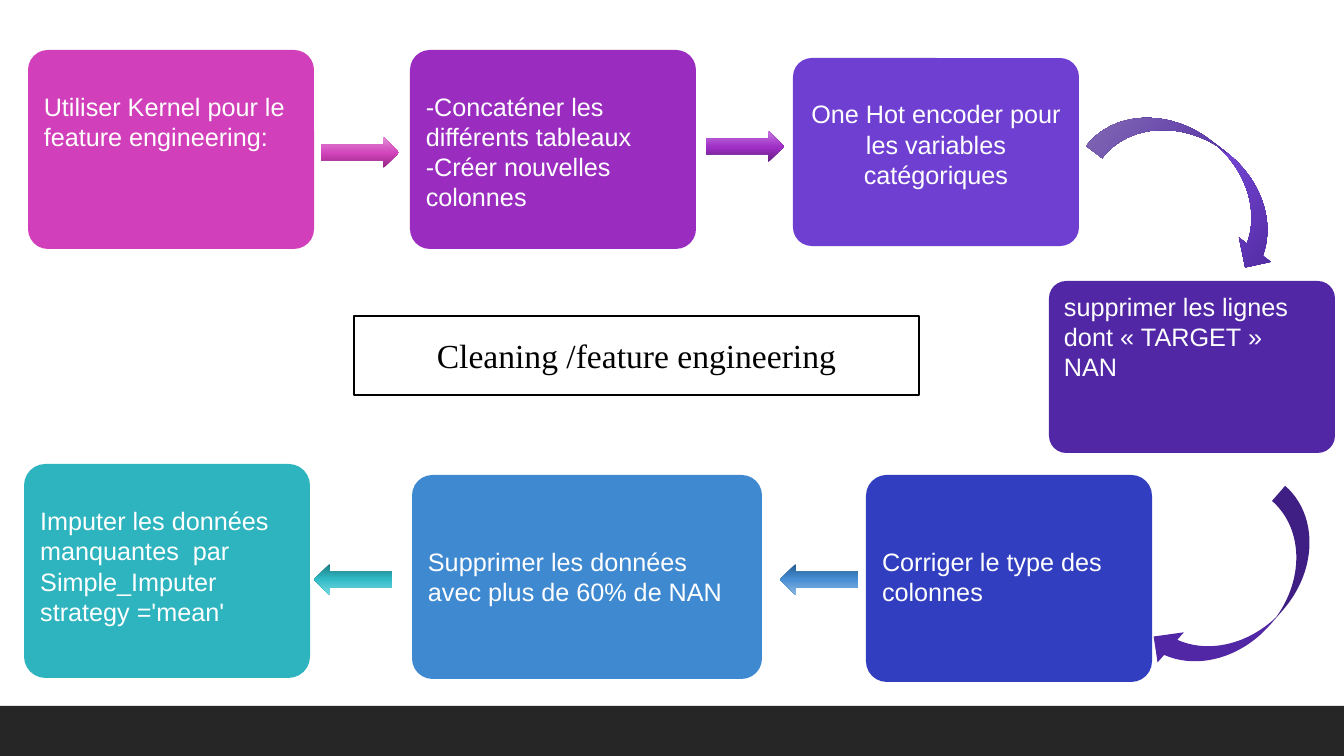
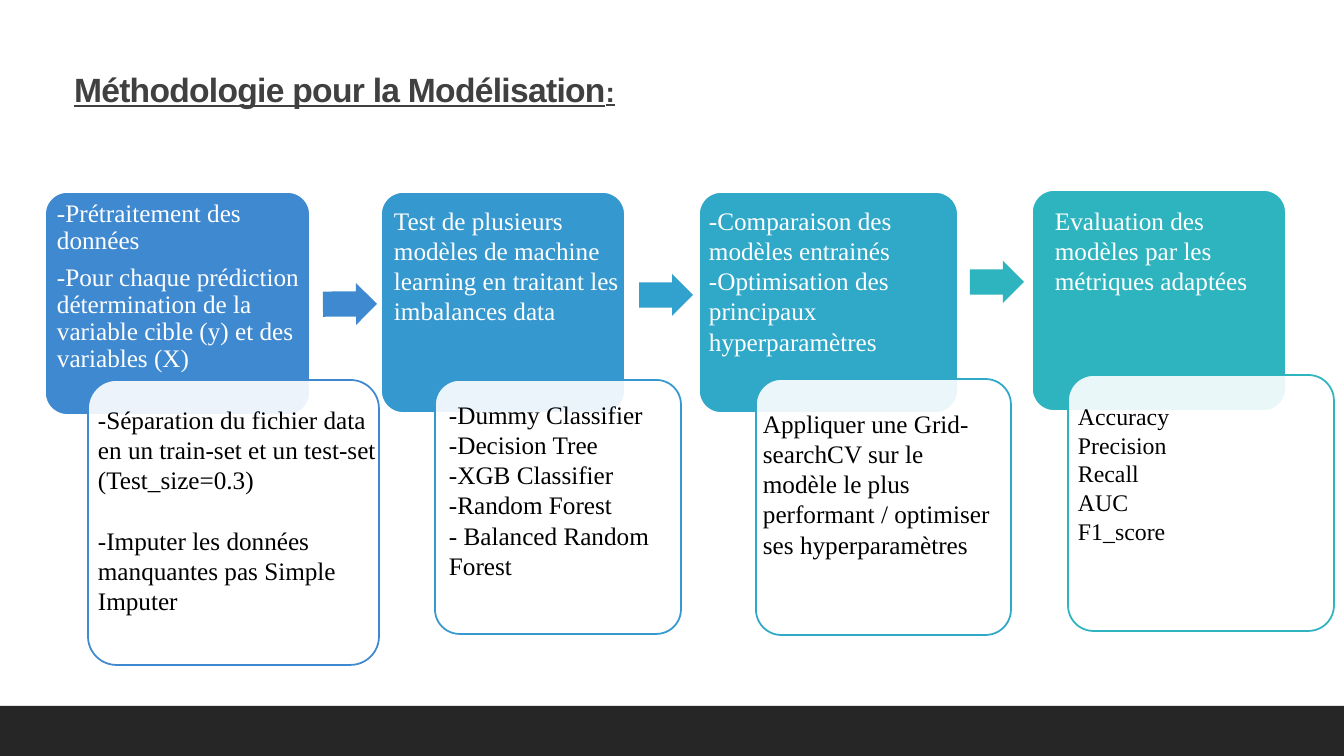
from lxml import etree
from pptx import Presentation
from pptx.dml.color import RGBColor
from pptx.enum.shapes import MSO_SHAPE as SHAPE
from pptx.enum.text import MSO_ANCHOR as ANCHOR, PP_ALIGN as ALIGN
from pptx.oxml.ns import qn
from pptx.util import Pt

# Shared style
SCALE = 914400 / 100.8
WIDTH, HEIGHT = 1344, 756
SANS, SERIF = "Arial", "Times New Roman"
WHITE, BLACK, BAND, TITLE = "FFFFFF", "000000", "262626", "404040"
LINE_HEIGHT = 1.2
INSETS = (10, 5, 10, 5)

# Slide 1: steps as (place, fill, empty rows above, alignment, paragraphs)
topic = "Cleaning /feature engineering"
steps = [
    ((28, 50, 286, 199), "D13FBA", 1, ALIGN.LEFT,
     ["Utiliser Kernel pour le feature engineering:"]),
    ((410, 50, 286, 199), "9A2DBF", 1, ALIGN.LEFT,
     ["-Concaténer les différents tableaux", "-Créer nouvelles colonnes"]),
    ((793, 58, 286, 188), "6F3FD1", 1, ALIGN.CENTER,
     ["One Hot encoder pour les variables catégoriques"]),
    ((1049, 281, 286, 172), "5127A5", 0, ALIGN.LEFT,
     ["supprimer les lignes dont «\u00a0TARGET\u00a0» NAN"]),
    ((866, 475, 286, 207), "313EC0", 2, ALIGN.LEFT,
     ["Corriger le type des colonnes"]),
    ((412, 475, 350, 204), "3F89D1", 2, ALIGN.LEFT,
     ["Supprimer les données avec plus de 60% de NAN"]),
    ((24, 464, 286, 214), "2DB4BF", 1, ALIGN.LEFT,
     ["Imputer les données manquantes  par Simple_Imputer strategy ='mean'"]),
]
# Arrows as (left, top, rotation, fill or dark-to-light gradient)
straight_arrows = [
    (321, 137, 0, ("932381", "D245BC", "E38CD6")),
    (706, 131, 0, ("671E80", "9F2FC6", "C67AE0")),
    (780, 564, 180, ("235C93", "458DD2", "8CB8E3")),
    (314, 564, 180, ("1E7980", "2FBAC6", "7AD8E0")),
]
curved_arrows = [
    (1158, 71, 307.4, ("482393", "7345D2", "A98CE3")),
    (1203, 485, 41.1, "5127A5"),
]

# Slide 2: each stage has a coloured card and a white detail card
heading = [("Méthodologie pour la Modélisation", 24), (":", 20)]
stages = [
    dict(color="3F89D1", card=(45, 192, 265, 223), label=(43, 187, 284, 190),
         summary=["-Prétraitement des données",
                  "-Pour chaque prédiction détermination de la variable cible (y) "
                  "et des variables (X)"],
         style=dict(insets=(14, 14, 14, 7), spacing=0.9, after=6.3),
         detail=(88, 380, 291, 285), note=(88, 399, 304, 254),
         points=["-Séparation du fichier data en un train-set et un test-set",
                 "(Test_size=0.3)",
                 "-Imputer les données manquantes pas Simple Imputer"],
         note_style=dict(gap_before=2)),
    dict(color="3598CF", card=(381, 192, 244, 221), label=(384, 200, 268, 132),
         summary=["Test de plusieurs modèles de machine learning en traitant les "
                  "imbalances data"],
         detail=(435, 380, 246, 254), note=(439, 394, 244, 194),
         points=["-Dummy Classifier", "-Decision Tree", "-XGB Classifier",
                 "-Random Forest", "- Balanced Random Forest"]),
    dict(color="30A8C8", card=(699, 192, 259, 221), label=(699, 200, 259, 194),
         summary=["-Comparaison des modèles entrainés",
                  "-Optimisation des principaux hyperparamètres"],
         detail=(756, 379, 255, 256), note=(753, 403, 259, 194),
         points=["Appliquer une Grid-searchCV sur le modèle le plus performant / "
                 "optimiser ses hyperparamètres"]),
    dict(color="2DB4BF", card=(1032, 190, 254, 221), label=(1045, 200, 254, 102),
         summary=["Evaluation des modèles par les métriques adaptées"],
         detail=(1068, 375, 266, 256), note=(1068, 397, 274, 184),
         points=["Accuracy", "Precision", "Recall", "AUC", "F1_score"],
         note_style=dict(size=17)),
]
stage_arrows = [(323, 283, 359.6, "3F89D1"), (639, 274, 0, "31A1CD"),
                (970, 261, 0, "2DB4BF")]


def px(length):
    return round(length * SCALE)


def rgb(color):
    return RGBColor.from_string(color)


def add_alpha(color_node, percent):
    etree.SubElement(color_node, qn("a:alpha")).set("val", str(percent * 1000))


def fill_gradient(shape, colors):
    shape.fill.gradient()
    gradient = shape.fill._xPr.find(qn("a:gradFill"))
    gradient.set("rotWithShape", "1")
    for node in list(gradient):
        gradient.remove(node)
    stops = etree.SubElement(gradient, qn("a:gsLst"))
    for position, color in zip((0, 48, 100), colors):
        stop = etree.SubElement(stops, qn("a:gs"), pos=str(position * 1000))
        etree.SubElement(stop, qn("a:srgbClr"), val=color)
    etree.SubElement(gradient, qn("a:lin"), ang=str(270 * 60000), scaled="0")


def draw(slide, kind, place, fill, line=None, rotation=0, adjust=(), alpha=None):
    shape = slide.shapes.add_shape(kind, *map(px, place))
    shape.shadow.inherit = False
    shape.rotation = rotation
    for index, value in enumerate(adjust):
        shape.adjustments[index] = value
    if isinstance(fill, tuple):
        fill_gradient(shape, fill)
    else:
        shape.fill.solid()
        shape.fill.fore_color.rgb = rgb(fill)
    if alpha:
        add_alpha(shape.fill._xPr.find(".//" + qn("a:srgbClr")), alpha)
    if line:
        shape.line.color.rgb = rgb(line)
        shape.line.width = Pt(1.25)
    else:
        shape.line.fill.background()
    return shape


def write(shape, paragraphs, font=SERIF, size=18, color=BLACK, align=ALIGN.LEFT,
          anchor=ANCHOR.TOP, insets=INSETS, spacing=None, after=0,
          gap_before=None, bold=False, underline=False, tracking=None):
    """A paragraph is a string or a list of (text, size) runs."""
    frame = shape.text_frame
    frame.word_wrap = True
    frame.vertical_anchor = anchor
    (frame.margin_left, frame.margin_top,
     frame.margin_right, frame.margin_bottom) = map(px, insets)
    for index, content in enumerate(paragraphs):
        paragraph = frame.paragraphs[0] if index == 0 else frame.add_paragraph()
        paragraph.alignment = align
        paragraph.space_after = Pt(after)
        if spacing:
            paragraph.line_spacing = spacing
        if index == gap_before:
            paragraph.space_before = Pt(size * LINE_HEIGHT)
        runs = [(content, size)] if isinstance(content, str) else content
        for words, run_size in runs:
            run = paragraph.add_run()
            run.text = words
            run.font.name, run.font.size = font, Pt(run_size)
            run.font.color.rgb = rgb(color)
            run.font.bold, run.font.underline = bold, underline
            if tracking:
                run.font._element.set("spc", str(round(tracking * 100)))


def label(slide, place, paragraphs, **style):
    write(slide.shapes.add_textbox(*map(px, place)), paragraphs, **style)


deck = Presentation()
deck.slide_width, deck.slide_height = px(WIDTH), px(HEIGHT)


def new_slide():
    slide = deck.slides.add_slide(deck.slide_layouts[6])
    draw(slide, SHAPE.RECTANGLE, (0, 706, WIDTH, 50), BAND)
    return slide


# Slide 1: cleaning and feature engineering
cleaning = new_slide()
topic_box = draw(cleaning, SHAPE.RECTANGLE, (354, 316, 565, 79), WHITE, line=BLACK)
write(topic_box, [topic], size=24, align=ALIGN.CENTER, anchor=ANCHOR.MIDDLE)
row_height = 18 * LINE_HEIGHT * 1.4
for place, color, rows_above, align, paragraphs in steps:
    step = draw(cleaning, SHAPE.ROUNDED_RECTANGLE, place, color, adjust=[0.1])
    write(step, paragraphs, font=SANS, color=WHITE, align=align,
          insets=(10, 5 + rows_above * row_height, 10, 5))
for kind, size, arrows in [(SHAPE.RIGHT_ARROW, (78, 31), straight_arrows),
                           (SHAPE.CURVED_LEFT_ARROW, (80, 220), curved_arrows)]:
    for left, top, rotation, fill in arrows:
        draw(cleaning, kind, (left, top, *size), fill, rotation=rotation)

# Slide 2: modelling method
method = new_slide()
for stage in stages:
    draw(method, SHAPE.ROUNDED_RECTANGLE, stage["card"], stage["color"],
         line=WHITE, adjust=[0.1])
    label(method, stage["label"], stage["summary"], color=WHITE,
          **stage.get("style", {}))
for left, top, rotation, fill in stage_arrows:
    draw(method, SHAPE.RIGHT_ARROW, (left, top, 54, 42), fill,
         rotation=rotation, adjust=[0.6, 0.5])
for stage in stages:
    draw(method, SHAPE.ROUNDED_RECTANGLE, stage["detail"], WHITE,
         line=stage["color"], adjust=[0.1], alpha=90)
    label(method, stage["note"], stage["points"], **stage.get("note_style", {}))
label(method, (64, 68, 1106, 73), [heading], font=SANS, color=TITLE, spacing=0.9,
      bold=True, underline=True, tracking=-0.5)

deck.save("out.pptx")
